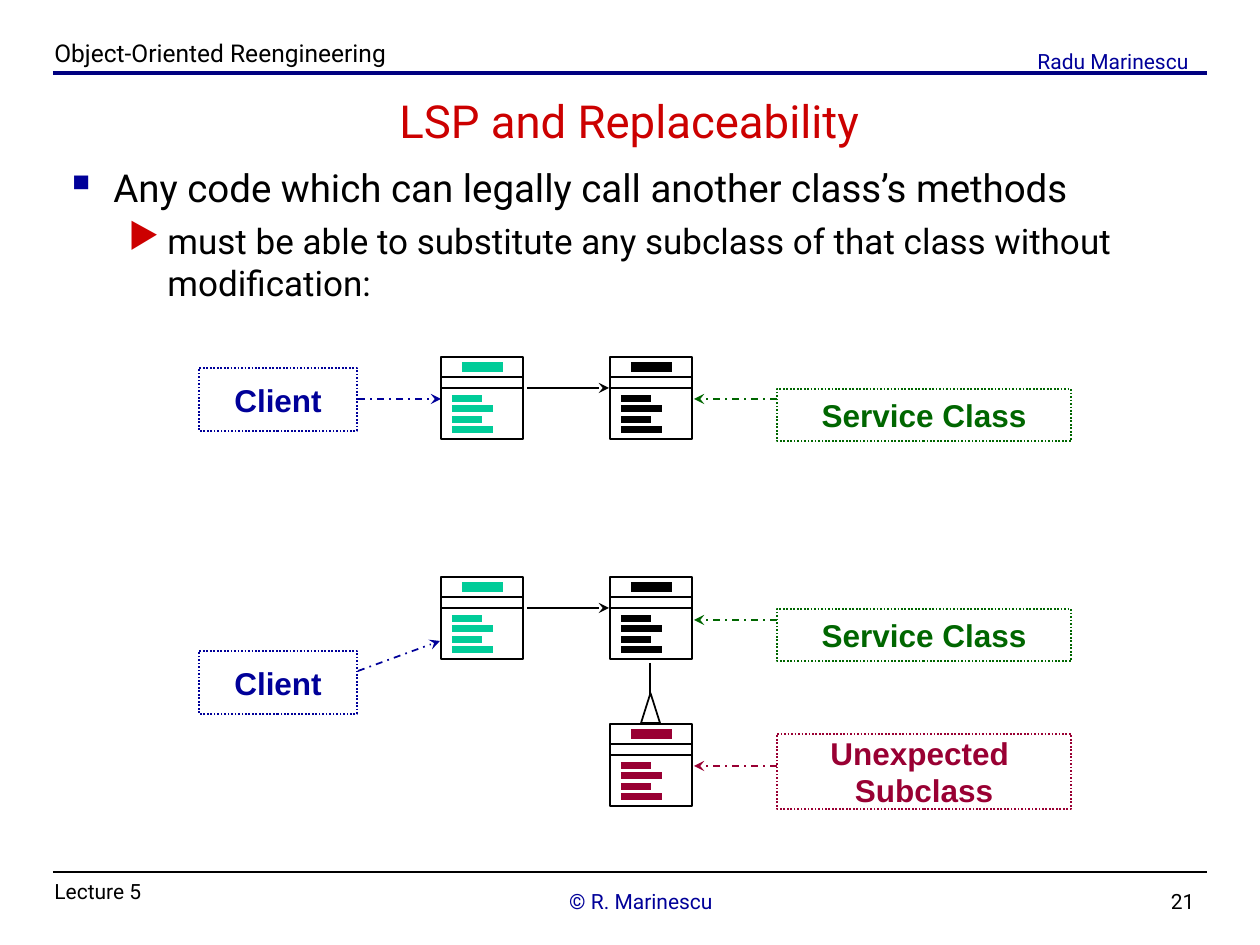
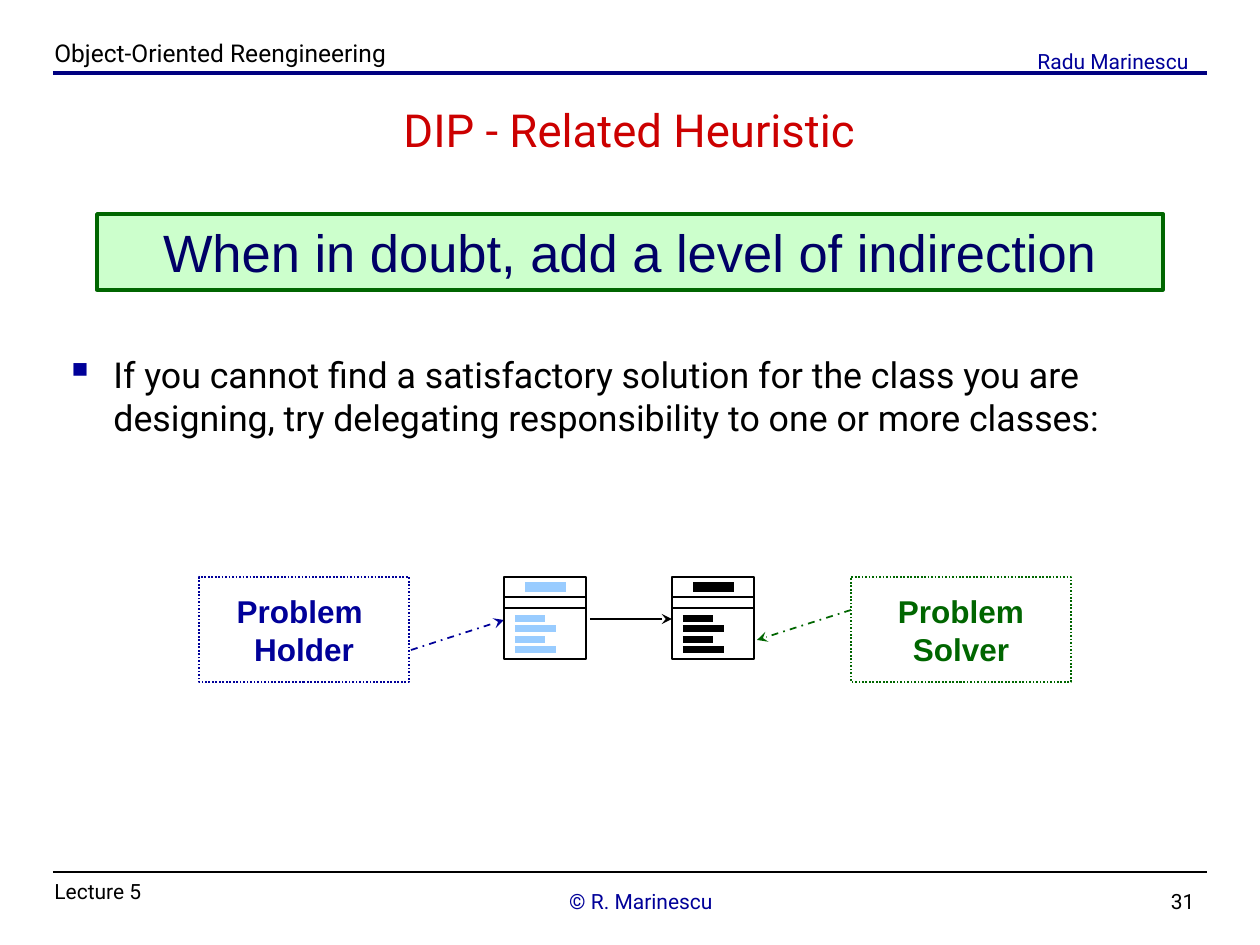
from pptx import Presentation, util as u
from pptx.dml.color import RGBColor
from pptx.enum import dml, shapes, text
from pptx.oxml.ns import qn
from lxml import etree

PIXEL = u.Inches(1) / 126

BLACK = RGBColor(0x00, 0x00, 0x00)
WHITE = RGBColor(0xFF, 0xFF, 0xFF)
NAVY = RGBColor(0x00, 0x00, 0x80)
DEEP_BLUE = RGBColor(0x00, 0x00, 0x66)
BLUE = RGBColor(0x00, 0x00, 0x99)
SKY = RGBColor(0x99, 0xCC, 0xFF)
RED = RGBColor(0xCC, 0x00, 0x00)
MAROON = RGBColor(0x99, 0x00, 0x33)
GREEN = RGBColor(0x00, 0x66, 0x00)
MINT = RGBColor(0x00, 0xCC, 0x99)
PALE_GREEN = RGBColor(0xCC, 0xFF, 0xCC)

LEFT, CENTER, RIGHT = text.PP_ALIGN.LEFT, text.PP_ALIGN.CENTER, text.PP_ALIGN.RIGHT
TOP, MIDDLE = text.MSO_ANCHOR.TOP, text.MSO_ANCHOR.MIDDLE
DOTTED, DASH_DOT = dml.MSO_LINE.ROUND_DOT, dml.MSO_LINE.DASH_DOT
RECTANGLE = shapes.MSO_SHAPE.RECTANGLE

# Running texts: wording, box, size, colour, alignment
RUNNING_TEXTS = [
    ("Object-Oriented Reengineering", (42, 32, 1144, 32), 14, BLACK, LEFT),
    ("Radu Marinescu", (1008, 42, 210, 21), 12, BLUE, CENTER),
    ("Lecture 5", (42, 872, 231, 32), 12, BLACK, LEFT),
    ("© R. Marinescu", (368, 882, 546, 42), 12, BLUE, CENTER),
]
NUMBER_BOX = (945, 882, 262, 32)
# Bullet levels: character, colour, size in percent, indent, hanging, space before
BULLETS = [("▪", "000099", 110, 48, 48, 5.5), ("▶", "CC0000", 100, 102, 39, 5)]

SLIDES = [
    {
        "number": "21",
        "title": ("LSP and Replaceability", (136, 94, 987, 53)),
        "body_box": (53, 158, 1155, 703),
        "body": [
            (0, 22, "Any code which can legally call another class’s methods"),
            (1, 20, "must be able to substitute any subclass of that class "
                    "without modification:"),
        ],
        "labels": [
            ("Client", (199, 368, 158, 63), BLUE),
            ("Service Class", (777, 389, 294, 52), GREEN),
            ("Client", (199, 651, 158, 63), BLUE),
            ("Service Class", (777, 609, 294, 52), GREEN),
            ("Unexpected \nSubclass", (777, 734, 294, 75), MAROON),
        ],
        "calls": [(527, 388, 609, 388), (527, 608, 609, 608)],
        "pointers": [
            ((777, 399, 694, 399), GREEN),
            ((358, 399, 441, 399), BLUE),
            ((777, 620, 694, 620), GREEN),
            ((777, 766, 694, 766), MAROON),
            ((358, 671, 440, 641), BLUE),
        ],
        "classes": [(610, 357, BLACK), (441, 357, MINT), (610, 577, BLACK),
                    (441, 577, MINT), (610, 724, MAROON)],
    },
    {
        "number": "31",
        "title": ("DIP - Related Heuristic", (136, 102, 987, 55)),
        "body_box": (53, 347, 1155, 131),
        "body": [
            (0, 20.4, "If you cannot find a satisfactory solution for the class "
                      "you are designing, try delegating responsibility to one "
                      "or more classes:"),
        ],
        "labels": [
            ("Problem \nHolder", (199, 577, 210, 105), BLUE),
            ("Problem\nSolver", (851, 577, 220, 105), GREEN),
        ],
        "calls": [(590, 619, 672, 619)],
        "pointers": [((851, 610, 757, 640), GREEN), ((411, 650, 504, 620), BLUE)],
        "classes": [(672, 577, BLACK), (504, 577, SKY)],
    },
]


def write(shape, wording, size, color, align=LEFT, anchor=TOP, font="Roboto",
          bold=False, wrap=True, first=True):
    """Write one paragraph into a shape and return the paragraph."""
    frame = shape.text_frame
    frame.auto_size = text.MSO_AUTO_SIZE.NONE
    frame.word_wrap = wrap
    frame.vertical_anchor = anchor
    paragraph = frame.paragraphs[0] if first else frame.add_paragraph()
    paragraph.alignment = align
    for index, line in enumerate(wording.split("\n")):
        if index:
            paragraph.add_line_break()
        run = paragraph.add_run()
        run.text = line
        run.font.name = font
        run.font.size = u.Pt(size)
        run.font.bold = bold
        run.font.color.rgb = color
    return paragraph


def draw_line(parent, ends, color, width=1, dash=None, arrow=False):
    """Draw a straight connector between two points given in pixels."""
    line = parent.add_connector(shapes.MSO_CONNECTOR.STRAIGHT,
                                *[int(value * PIXEL) for value in ends])
    line.line.color.rgb = color
    line.line.width = u.Pt(width)
    if dash:
        line.line.dash_style = dash
    if arrow:
        etree.SubElement(line.line._get_or_add_ln(), qn("a:tailEnd"), type="stealth")
    etree.SubElement(line._element.spPr, qn("a:effectLst"))


presentation = Presentation()
presentation.slide_width = u.Inches(10)
presentation.slide_height = u.Inches(7.5)

for content in SLIDES:
    slide = presentation.slides.add_slide(presentation.slide_layouts[5])

    # Header, footer and title
    draw_line(slide.shapes, (53, 872, 1207, 872), BLACK, 1.25)
    draw_line(slide.shapes, (53, 73, 1207, 73), NAVY, 2)
    number = (content["number"], NUMBER_BOX, 12, BLACK, RIGHT)
    for wording, box, size, color, align in RUNNING_TEXTS + [number]:
        running = slide.shapes.add_textbox(*[int(value * PIXEL) for value in box])
        write(running, wording, size, color, align)

    wording, box = content["title"]
    title = slide.shapes.title
    title.left, title.top, title.width, title.height = [int(v * PIXEL) for v in box]
    write(title, wording, 26, RED, CENTER, MIDDLE)

    # Bulleted body
    body = slide.shapes.add_textbox(*[int(v * PIXEL) for v in content["body_box"]])
    for index, (level, size, wording) in enumerate(content["body"]):
        character, bullet_color, percent, indent, hanging, before = BULLETS[level]
        paragraph = write(body, wording, size, BLACK, first=index == 0)
        paragraph.level = level
        paragraph.space_before = u.Pt(before)
        properties = paragraph._p.get_or_add_pPr()
        properties.set("marL", str(int(indent * PIXEL)))
        properties.set("indent", str(int(-hanging * PIXEL)))
        bullet = etree.SubElement(properties, qn("a:buClr"))
        etree.SubElement(bullet, qn("a:srgbClr"), val=bullet_color)
        etree.SubElement(properties, qn("a:buSzPct"), val=str(percent * 1000))
        etree.SubElement(properties, qn("a:buChar"), char=character)

    # Dotted labels and the arrows of the diagram
    for wording, box, color in content["labels"]:
        label = slide.shapes.add_shape(RECTANGLE, *[int(v * PIXEL) for v in box])
        label.shadow.inherit = False
        label.fill.background()
        label.line.color.rgb = color
        label.line.width = u.Pt(1)
        label.line.dash_style = DOTTED
        write(label, wording, 18, color, CENTER, MIDDLE, "Arial", True, wrap=False)
    for ends in content["calls"]:
        draw_line(slide.shapes, ends, BLACK, arrow=True)
    for ends, color in content["pointers"]:
        draw_line(slide.shapes, ends, color, dash=DASH_DOT, arrow=True)

    # The inheritance arrow runs behind the subclass
    if content is SLIDES[0]:
        draw_line(slide.shapes, (650, 663, 650, 776), BLACK)
        triangle = slide.shapes.add_shape(
            shapes.MSO_SHAPE.ISOSCELES_TRIANGLE,
            *[int(value * PIXEL) for value in (641, 693, 19, 30)])
        triangle.shadow.inherit = False
        triangle.fill.solid()
        triangle.fill.fore_color.rgb = WHITE
        triangle.line.color.rgb = BLACK
        triangle.line.width = u.Pt(1)

    # Class icons: frame, two dividers, a name bar and four method bars
    for x, y, color in content["classes"]:
        icon = slide.shapes.add_group_shape().shapes
        frame = icon.add_shape(RECTANGLE, *[int(v * PIXEL) for v in (x, y, 82, 82)])
        frame.shadow.inherit = False
        frame.fill.solid()
        frame.fill.fore_color.rgb = WHITE
        frame.line.color.rgb = BLACK
        frame.line.width = u.Pt(1)
        for divider in (y + 20, y + 31):
            draw_line(icon, (x + 1, divider, x + 83, divider), BLACK)
        draw_line(icon, (x + 21, y + 10, x + 62, y + 10), color, 6)
        for row in range(4):
            bar = y + 42 + row * 21 // 2
            draw_line(icon, (x + 11, bar, x + (52 if row % 2 else 41), bar), color, 4)

# Motto of the second slide
motto = slide.shapes.add_shape(RECTANGLE,
                               *[int(v * PIXEL) for v in (97, 214, 1066, 76)])
motto.shadow.inherit = False
motto.fill.solid()
motto.fill.fore_color.rgb = PALE_GREEN
motto.line.color.rgb = GREEN
motto.line.width = u.Pt(2)
write(motto, "When in doubt, add a level of indirection", 30, DEEP_BLUE, CENTER,
      font="Arial")

presentation.save("out.pptx")
